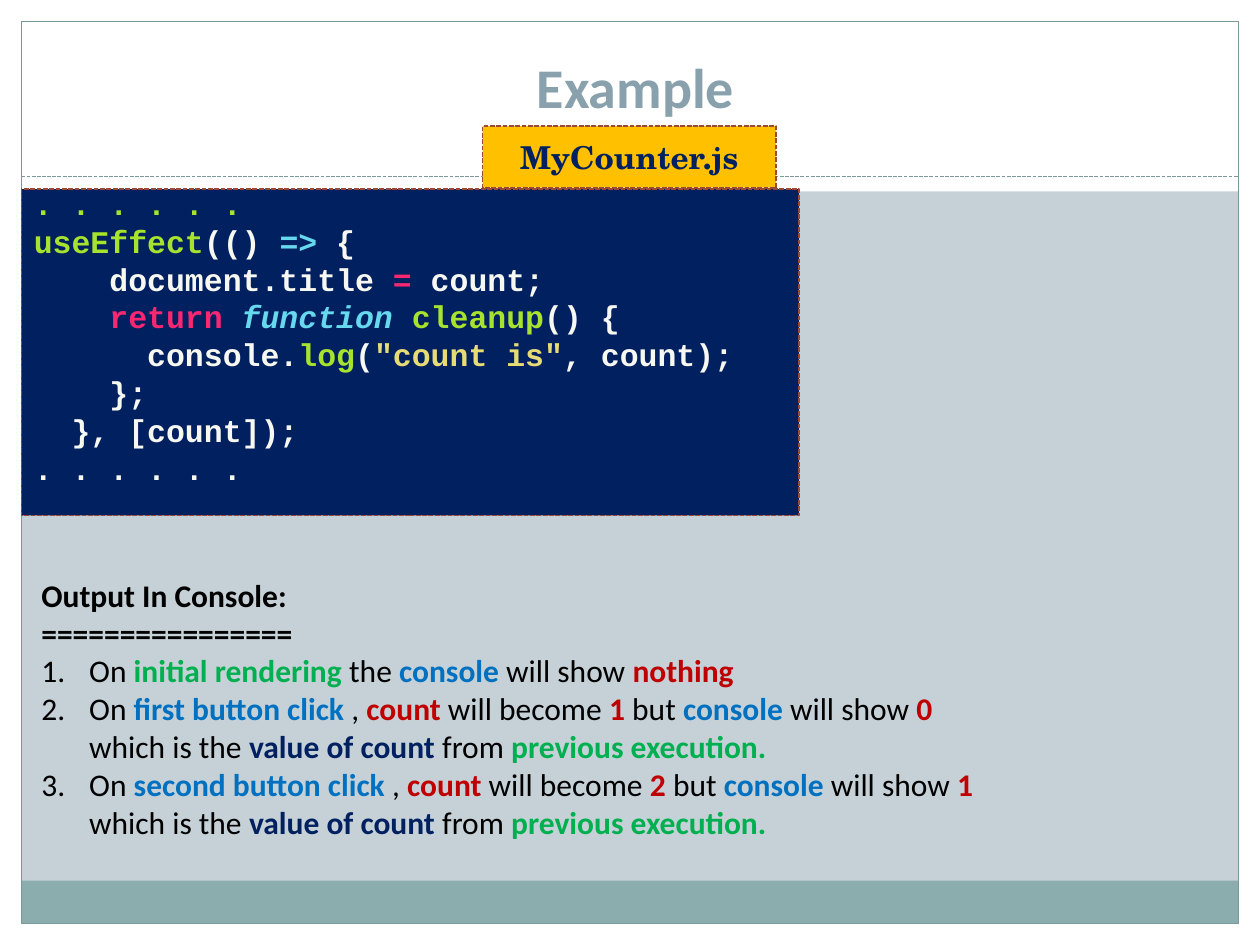
import pptx
import pptx.util
import pptx.dml.color
import pptx.oxml
import pptx.oxml.ns
from pptx.enum.dml import MSO_LINE
from pptx.enum.shapes import MSO_CONNECTOR, MSO_SHAPE
from pptx.enum.text import MSO_ANCHOR, PP_ALIGN
from pptx.util import Inches

COLORS = {
    "background": "C5D1D7", "white": "FFFFFF", "footer": "8CADAE",
    "frame": "7C999A", "title": "88A1AD", "navy": "002060",
    "border": "9B4936", "gold": "FFC000", "black": "000000",
    "green": "00B050", "blue": "0070C0", "red": "C00000",
    "name": "A6E22E", "plain": "F8F8F2", "type": "66D9EF",
    "keyword": "F92672", "string": "E6DB74",
}

CODE = [
    [(". . . . . .", "name")],
    [("useEffect", "name"), ("(() ", "plain"), ("=>", "type"), (" {", "plain")],
    [("    document.title ", "plain"), ("=", "keyword"), (" count;", "plain")],
    [("    ", "plain"), ("return ", "keyword"), ("function ", "type"),
     ("cleanup", "name"), ("() {", "plain")],
    [("      console.", "plain"), ("log", "name"), ("(", "plain"),
     ('"count is"', "string"), (", count);", "plain")],
    [("    };", "plain")],
    [("  }, [count]);", "plain")],
    [(". . . . . .", "plain")],
]

INITIAL_RENDERING = [
    ("On ", "black"), ("initial rendering ", "green"), ("the ", "black"),
    ("console", "blue"), (" will show ", "black"), ("nothing", "red"),
]
PREVIOUS_VALUE = [
    ("which is the ", "black"), ("value of count ", "navy"),
    ("from ", "black"), ("previous execution.", "green"),
]
CLICKS = [("first", "1", "0"), ("second", "2", "1")]


def rgb(color):
    return pptx.dml.color.RGBColor.from_string(COLORS[color])


def add_run(paragraph, text, color, font, size, bold=True, italic=False):
    run = paragraph.add_run()
    run.text = text
    run.font.name = font
    run.font.size = pptx.util.Pt(size)
    run.font.bold = bold
    run.font.italic = italic
    run.font.color.rgb = rgb(color)


def set_line(line, color, width, dashed=False):
    line.color.rgb = rgb(color)
    line.width = pptx.util.Pt(width)
    if dashed:
        line.dash_style = MSO_LINE.SQUARE_DOT


def add_panel(slide, box, fill=None):
    """Add a flat rectangle without an outline."""
    panel = slide.shapes.add_shape(MSO_SHAPE.RECTANGLE, *box)
    panel.shadow.inherit = False
    panel.line.fill.background()
    if fill:
        panel.fill.solid()
        panel.fill.fore_color.rgb = rgb(fill)
    else:
        panel.fill.background()
    return panel


def indent(paragraph, left, first=0, numbered=False):
    properties = paragraph._p.get_or_add_pPr()
    properties.set("marL", str(Inches(left)))
    properties.set("indent", str(Inches(first)))
    if numbered:
        number = pptx.oxml.parse_xml(
            f'<a:buAutoNum {pptx.oxml.ns.nsdecls("a")} type="arabicPeriod"/>')
        properties.append(number)


def add_frame(slide, left, top, width, height):
    """Draw the white margins, footer band, outline and header rule."""
    right, bottom = left + width, top + height
    page_width, page_height = Inches(10), Inches(7.5)
    for margin in (
        (0, bottom, page_width, page_height - bottom),
        (0, 0, page_width, Inches(1.52)),
        (0, 0, left, page_height),
        (right, 0, page_width - right, page_height),
    ):
        add_panel(slide, margin, "white")
    footer_height = Inches(0.34)
    add_panel(slide, (left, bottom - footer_height, width, footer_height), "footer")
    outline = add_panel(slide, (left, top, width, height))
    set_line(outline.line, "frame", 0.75)

    rule_y = top + Inches(1.23)
    rule = slide.shapes.add_connector(
        MSO_CONNECTOR.STRAIGHT, left, rule_y, right, rule_y)
    set_line(rule.line, "frame", 0.75, dashed=True)
    rule._element.spPr.append(
        pptx.oxml.parse_xml(f'<a:effectLst {pptx.oxml.ns.nsdecls("a")}/>'))


def add_title(slide, left, top, width, height):
    title = slide.shapes.title
    title.left, title.top, title.width, title.height = left, top, width, height
    # The frame is drawn after the placeholder, so bring the title forward.
    slide.shapes._spTree.append(title._element)
    title.text_frame.vertical_anchor = MSO_ANCHOR.BOTTOM
    heading = title.text_frame.paragraphs[0]
    heading.alignment = PP_ALIGN.LEFT
    indent(heading, 0.97)
    add_run(heading, "Example", "title", "Calibri", 32)


def add_code(slide, left, top, width, height):
    """Draw the code panel with its file name tab above it."""
    panel = add_panel(slide, (left, top, width, height), "navy")
    set_line(panel.line, "border", 0.9, dashed=True)
    frame = panel.text_frame
    frame.word_wrap = True
    frame.vertical_anchor = MSO_ANCHOR.MIDDLE
    frame.margin_top, frame.margin_bottom = 0, Inches(0.27)
    for index, tokens in enumerate(CODE):
        line = frame.add_paragraph() if index else frame.paragraphs[0]
        line.alignment = PP_ALIGN.LEFT
        line.line_spacing = pptx.util.Pt(21.6)
        for text, color in tokens:
            add_run(line, text, color, "Courier New", 18, italic=color == "type")

    tab = add_panel(
        slide, (left + Inches(3.66), top - Inches(0.5), Inches(2.33), Inches(0.49)),
        "gold")
    set_line(tab.line, "border", 0.9, dashed=True)
    tab.text_frame.vertical_anchor = MSO_ANCHOR.MIDDLE
    file_name = tab.text_frame.paragraphs[0]
    file_name.alignment = PP_ALIGN.CENTER
    add_run(file_name, "MyCounter.js", "navy", "TeX Gyre Schola", 18)


def click_step(ordinal, count, shown):
    return [
        ("On ", "black"), (f"{ordinal} button click ", "blue"), (", ", "black"),
        ("count", "red"), (" will become ", "black"), (f"{count} ", "red"),
        ("but ", "black"), ("console", "blue"), (" will show ", "black"),
        (shown, "red"),
    ]


def add_output(slide, left, top, width, height):
    frame = slide.shapes.add_textbox(left, top, width, height).text_frame
    frame.word_wrap = True
    add_run(frame.paragraphs[0], "Output In Console:", "black", "Calibri", 18)
    add_run(frame.add_paragraph(), "=" * 16, "black", "Calibri", 18)

    steps = [[INITIAL_RENDERING]]
    steps += [[click_step(*click), PREVIOUS_VALUE] for click in CLICKS]
    for step_lines in steps:
        step = frame.add_paragraph()
        indent(step, 0.38, -0.38, numbered=True)
        for index, phrases in enumerate(step_lines):
            if index:
                step.add_line_break()
            for text, color in phrases:
                add_run(step, text, color, "Calibri", 18, bold=color != "black")


def main():
    presentation = pptx.Presentation()
    presentation.slide_width, presentation.slide_height = Inches(10), Inches(7.5)
    slide = presentation.slides.add_slide(presentation.slide_layouts[5])
    slide.background.fill.solid()
    slide.background.fill.fore_color.rgb = rgb("background")

    add_frame(slide, Inches(0.17), Inches(0.17), Inches(9.66), Inches(7.16))
    add_title(slide, Inches(3.19), 0, Inches(6.65), Inches(1))
    add_code(slide, Inches(0.17), Inches(1.5), Inches(6.17), Inches(2.59))
    add_output(slide, Inches(0.23), Inches(4.52), Inches(7.77), Inches(2.52))
    presentation.save("out.pptx")


if __name__ == "__main__":
    main()
